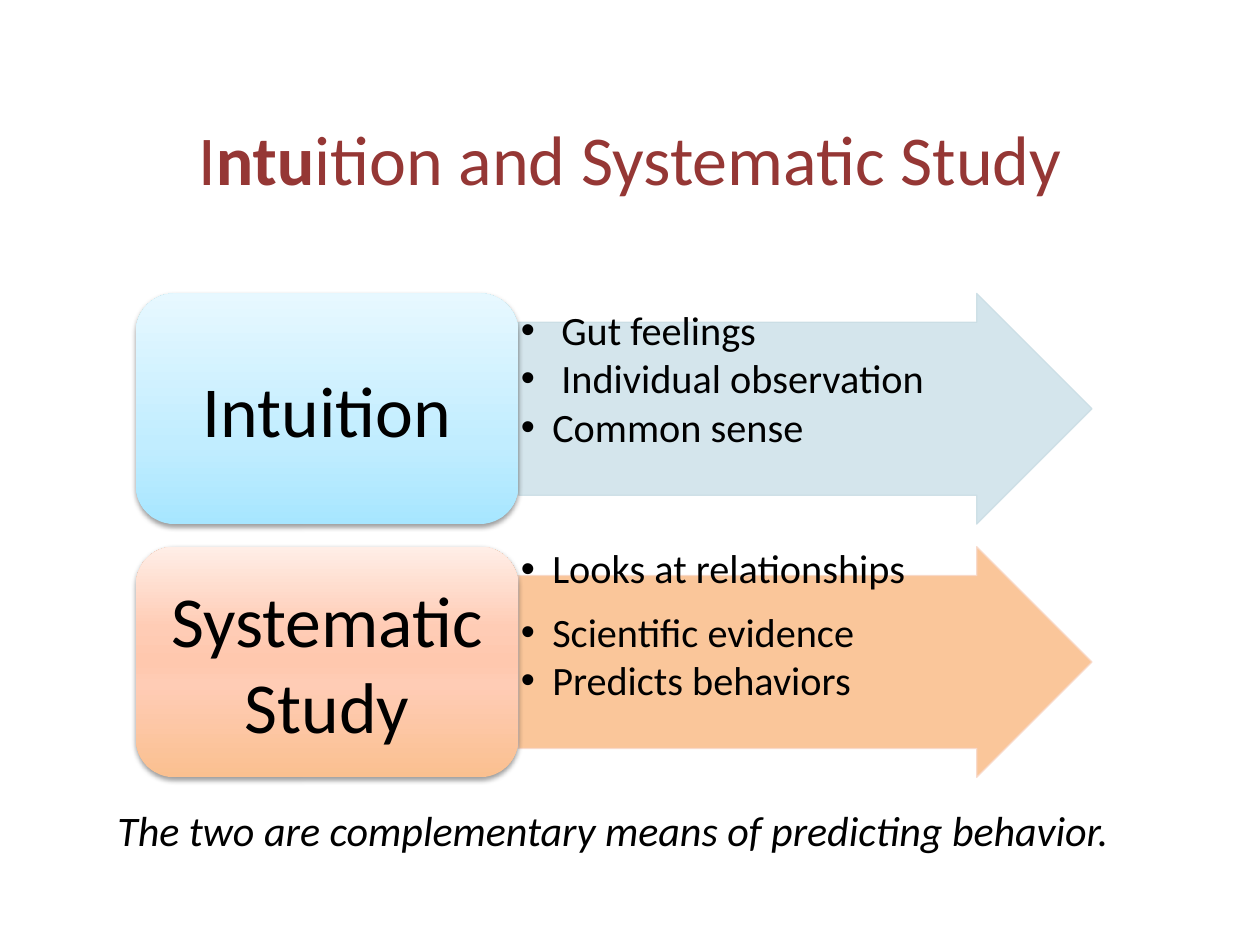
import pptx
import pptx.dml.color
import pptx.enum.shapes
import pptx.enum.text
import pptx.oxml
import pptx.oxml.ns
import pptx.util
from pptx.dml.color import RGBColor

Pt = pptx.util.Pt
qn = pptx.oxml.ns.qn
MSO_SHAPE = pptx.enum.shapes.MSO_SHAPE
ALIGN = pptx.enum.text.PP_ALIGN
ANCHOR = pptx.enum.text.MSO_ANCHOR
NAMESPACE = pptx.oxml.ns.nsdecls("a")

BLACK = RGBColor(0x00, 0x00, 0x00)
TITLE_RED = RGBColor(0x95, 0x37, 0x35)
ICE_BLUE = RGBColor(0xD0, 0xE3, 0xEA)
ICE_EDGE = RGBColor(0xCB, 0xDE, 0xE5)
ORANGE = RGBColor(0xFA, 0xC0, 0x90)
ORANGE_EDGE = RGBColor(0xF8, 0xD9, 0xCA)
BLUE_STOPS = [
    (0, RGBColor(0xA7, 0xE6, 0xFF)),
    (35, RGBColor(0xC1, 0xED, 0xFF)),
    (100, RGBColor(0xE7, 0xF8, 0xFF)),
]
ORANGE_STOPS = [
    (0, ORANGE),
    (40, RGBColor(0xFF, 0xCC, 0xB5)),
    (50, RGBColor(0xFF, 0xC8, 0xAE)),
    (65, RGBColor(0xFF, 0xCC, 0xB5)),
    (100, RGBColor(0xFF, 0xEE, 0xE7)),
]

LABEL_LEFT, LABEL_WIDTH = 77.7, 218.5
ARROW_LEFT, ARROW_WIDTH = 296.4, 327.6
ROW_TOP, ROW_HEIGHT, ROW_PITCH = 167.7, 131.8, 144.7

ROWS = [
    ("Intuition", BLUE_STOPS, ICE_BLUE, ICE_EDGE,
     [(" Gut feelings", 1.2), (" Individual observation", 0.9), ("Common sense", 0.9)]),
    ("Systematic Study", ORANGE_STOPS, ORANGE, ORANGE_EDGE,
     [("Looks at relationships", 0.9), ("Scientific evidence", 1.2), ("Predicts behaviors", 0.9)]),
]


def set_values(target, **values):
    for name, value in values.items():
        setattr(target, name, value)


def add_run(paragraph, text, size, color=BLACK, **values):
    run = paragraph.add_run()
    run.text = text
    run.font.color.rgb = color
    set_values(run.font, name="Calibri", size=Pt(size), **values)


presentation = pptx.Presentation()
set_values(presentation, slide_width=Pt(720), slide_height=Pt(540))
slide = presentation.slides.add_slide(presentation.slide_layouts[6])
shapes = slide.shapes

title = shapes.add_textbox(Pt(36), Pt(54), Pt(648), Pt(72))
set_values(title.text_frame, word_wrap=True, vertical_anchor=ANCHOR.MIDDLE)
paragraph = title.text_frame.paragraphs[0]
paragraph.alignment = ALIGN.CENTER
for text, bold in [("I", False), ("ntu", True), ("ition and Systematic Study", False)]:
    add_run(paragraph, text, 40, TITLE_RED, bold=bold)

for index, (name, stops, arrow_color, edge_color, points) in enumerate(ROWS):
    top = Pt(ROW_TOP + index * ROW_PITCH)
    arrow_place = (Pt(ARROW_LEFT), top, Pt(ARROW_WIDTH), Pt(ROW_HEIGHT))

    arrow = shapes.add_shape(MSO_SHAPE.RIGHT_ARROW, *arrow_place)
    arrow.shadow.inherit = False
    arrow.adjustments[0] = 0.75
    arrow.adjustments[1] = 0.5
    arrow.line.width = Pt(0.75)
    for fill, color in [(arrow.fill, arrow_color), (arrow.line.fill, edge_color)]:
        fill.solid()
        fill.fore_color.rgb = color
    for color_element in arrow._element.spPr.iter(qn("a:srgbClr")):
        color_element.append(pptx.oxml.parse_xml(f'<a:alpha {NAMESPACE} val="90000"/>'))

    points_box = shapes.add_textbox(*arrow_place)
    frame = points_box.text_frame
    set_values(frame, word_wrap=True, margin_left=Pt(1.2), margin_right=Pt(1.2),
               margin_top=Pt(1.2), margin_bottom=Pt(1.2))
    for number, (text, spacing) in enumerate(points):
        paragraph = frame.add_paragraph() if number else frame.paragraphs[0]
        properties = paragraph._p.get_or_add_pPr()
        properties.set("marL", str(Pt(18)))
        properties.set("indent", str(-Pt(18)))
        properties.append(pptx.oxml.parse_xml(f'<a:buFont {NAMESPACE} typeface="Arial"/>'))
        properties.append(pptx.oxml.parse_xml(f'<a:buChar {NAMESPACE} char="•"/>'))
        set_values(paragraph, level=1, line_spacing=spacing, space_after=Pt(3))
        add_run(paragraph, text, 23)

    label = shapes.add_shape(MSO_SHAPE.ROUNDED_RECTANGLE, Pt(LABEL_LEFT), top,
                             Pt(LABEL_WIDTH), Pt(ROW_HEIGHT))
    label.line.fill.background()
    label.fill.gradient()
    label.fill.gradient_angle = 90
    properties = label._element.spPr
    stop_list = properties.find(".//" + qn("a:gsLst"))
    for stop in list(stop_list):
        stop_list.remove(stop)
    for position, color in stops:
        stop_list.append(pptx.oxml.parse_xml(
            f'<a:gs {NAMESPACE} pos="{position * 1000}"><a:srgbClr val="{color}"/></a:gs>'))
    label.shadow.inherit = False
    properties.find(qn("a:effectLst")).append(pptx.oxml.parse_xml(
        f'<a:outerShdw {NAMESPACE} blurRad="{Pt(3.1)}" dist="{Pt(1.6)}" dir="5400000" '
        f'rotWithShape="0"><a:srgbClr val="{BLACK}"><a:alpha val="38000"/></a:srgbClr></a:outerShdw>'))
    set_values(label.text_frame, word_wrap=True, vertical_anchor=ANCHOR.MIDDLE,
               margin_left=Pt(6), margin_right=Pt(6), margin_top=0, margin_bottom=0)
    paragraph = label.text_frame.paragraphs[0]
    paragraph.alignment = ALIGN.CENTER
    add_run(paragraph, name, 41)

conclusion = shapes.add_textbox(Pt(60), Pt(456), Pt(597.6), Pt(36))
conclusion.text_frame.word_wrap = False
add_run(conclusion.text_frame.paragraphs[0],
        "The two are complementary means of predicting behavior.", 24, italic=True)

presentation.save("out.pptx")
